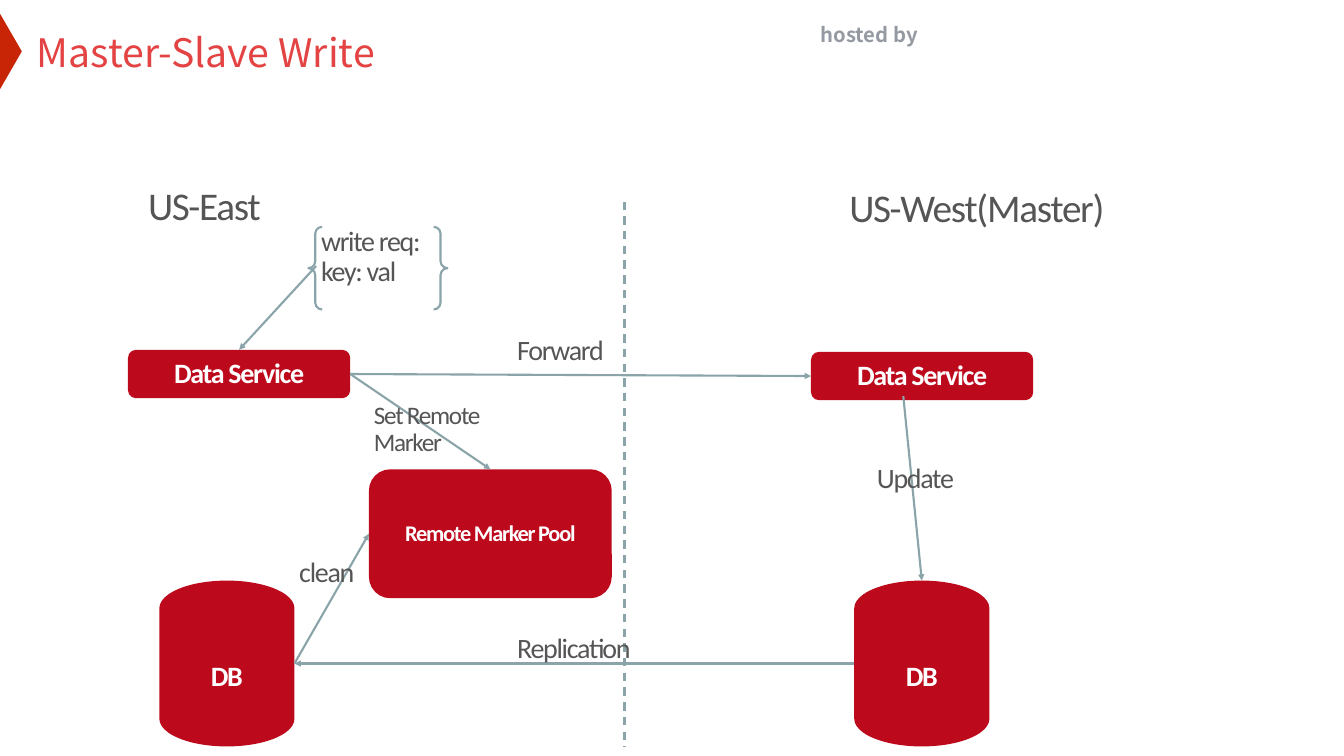
from lxml import etree
from pptx import Presentation
from pptx.dml.color import RGBColor
from pptx.enum.dml import MSO_LINE
from pptx.enum.shapes import MSO_CONNECTOR, MSO_SHAPE
from pptx.enum.text import MSO_ANCHOR, PP_ALIGN
from pptx.oxml.ns import qn
from pptx.util import Cm, Pt

RED = RGBColor(0xBD, 0x09, 0x1C)
CHEVRON_RED = RGBColor(0xC8, 0x25, 0x06)
TITLE_RED = RGBColor(0xE3, 0x43, 0x43)
LINE_GREY = RGBColor(0x8A, 0xA4, 0xAA)
TEXT_GREY = RGBColor(0x55, 0x55, 0x55)
HOST_GREY = RGBColor(0x95, 0x9A, 0xA2)
WHITE = RGBColor(0xFF, 0xFF, 0xFF)

ROUNDED = MSO_SHAPE.ROUNDED_RECTANGLE
DISK = MSO_SHAPE.FLOWCHART_MAGNETIC_DISK
BRACES = MSO_SHAPE.DOUBLE_BRACE
STRAIGHT = MSO_CONNECTOR.STRAIGHT
DASH = MSO_LINE.DASH
TOP, MIDDLE, BOTTOM = MSO_ANCHOR.TOP, MSO_ANCHOR.MIDDLE, MSO_ANCHOR.BOTTOM
LEFT, CENTER = PP_ALIGN.LEFT, PP_ALIGN.CENTER

HEADING_FONT = "Noto Sans CJK SC"
DIAGRAM_FONT = "Calibri"

# All lengths are in centimetres: left, top, width, height
TITLE = ("Master-Slave Write", (1.7, 0.84, 38.91, 3.12))
HOST = ("hosted by", (41.2, 1.14, 6.53, 1.37))
CHEVRON = [(0, 0.69), (0, 4.5), (1.1, 2.59)]
DIVIDER = [(31.47, 10.16), (31.47, 37.64)]
BRACE_AREA = (15.54, 11.43, 7.01, 4.17)

NODES = {
    "east db": (DISK, "DB", 40, (8.03, 29.26, 6.81, 8.36)),
    "west db": (DISK, "DB", 40, (43.05, 29.26, 6.81, 8.36)),
    "east service": (ROUNDED, "Data Service", 40, (6.45, 17.63, 11.2, 2.44)),
    "west service": (ROUNDED, "Data Service", 40, (40.87, 17.73, 11.2, 2.44)),
    "pool": (ROUNDED, "Remote Marker Pool", 32, (18.59, 23.65, 12.24, 6.5)),
}

LABELS = [
    (["US-East"], 56, (7.21, 9.3, 9.22, 2.41)),
    (["US-West(Master)"], 56, (42.55, 9.37, 15.44, 2.41)),
    (["write req:", "key: val"], 40, (15.93, 11.33, 7.37, 3.33)),
    (["Update"], 40, (43.94, 23.27, 5.28, 1.8)),
    (["Forward"], 40, (25.81, 16.84, 7.06, 1.8)),
    (["Set Remote Marker"], 36, (18.59, 20.17, 8.59, 3.02)),
    (["Replication"], 40, (25.81, 31.83, 11.02, 1.8)),
    (["clean"], 40, (14.83, 27.99, 4.65, 1.8)),
]

# Each end is a free point or a node with one of its sides
ARROWS = [
    ((15.93, 13.41), ("east service", "top")),
    ((45.52, 19.96), ("west db", "top")),
    (("east service", "right"), ("west service", "left")),
    (("east service", "right"), ("pool", "top")),
    (("west db", "left"), ("east db", "right")),
    (("east db", "right"), ("pool", "left")),
]
SIDES = {"top": (0.5, 0), "left": (0, 0.5), "right": (1, 0.5)}


def to_cm(values):
    return [Cm(value) for value in values]


def end_point(end):
    """Turn a (node, side) pair into a point; leave free points alone."""
    if end[0] not in NODES:
        return end
    left, top, width, height = NODES[end[0]][-1]
    across, down = SIDES[end[1]]
    return left + across * width, top + down * height


def write(box, lines, size, color, font=DIAGRAM_FONT, bold=False, align=LEFT,
          anchor=TOP, line_spacing=0.9, tracking=-180, inset=None):
    frame = box.text_frame
    frame.word_wrap = True
    frame.vertical_anchor = anchor
    if inset is not None:
        frame.margin_left = frame.margin_right = Cm(inset)
        frame.margin_top = frame.margin_bottom = Cm(inset)
    for number, line in enumerate(lines):
        para = frame.add_paragraph() if number else frame.paragraphs[0]
        para.alignment = align
        para.line_spacing = line_spacing
        span = para.add_run()
        span.text = line
        span.font.size = Pt(size)
        span.font.bold = bold
        span.font.name = font
        span.font.color.rgb = color
        properties = span.font._element
        properties.set("spc", str(tracking))
        latin = properties.find(qn("a:latin"))
        east_asian = etree.Element(qn("a:ea"), typeface=font)
        latin.addnext(east_asian)


def add_line(page, start, end, arrow=False):
    line = page.shapes.add_connector(STRAIGHT, *to_cm(start + end))
    line.line.color.rgb = LINE_GREY
    line.line.width = Pt(3)
    etree.SubElement(line._element.spPr, qn("a:effectLst"))
    if arrow:
        etree.SubElement(line.line._get_or_add_ln(), qn("a:tailEnd"), type="triangle")
    return line


def add_heading(page):
    builder = page.shapes.build_freeform(*to_cm(CHEVRON[0]), scale=1.0)
    builder.add_line_segments([to_cm(point) for point in CHEVRON[1:]], close=True)
    chevron = builder.convert_to_shape()
    chevron.shadow.inherit = False
    chevron.fill.solid()
    chevron.fill.fore_color.rgb = CHEVRON_RED
    chevron.line.fill.background()

    text, area = HOST
    host = page.shapes.add_textbox(*to_cm(area))
    write(host, [text], 28.9, HOST_GREY, HEADING_FONT, bold=True, anchor=BOTTOM,
          line_spacing=0.8, tracking=0, inset=0.15)

    text, area = TITLE
    title = page.shapes.title
    title.left, title.top, title.width, title.height = to_cm(area)
    write(title, [text], 56, TITLE_RED, HEADING_FONT, anchor=BOTTOM,
          line_spacing=1.0, tracking=0, inset=0.15)


def add_diagram(page):
    for kind, text, size, area in NODES.values():
        node = page.shapes.add_shape(kind, *to_cm(area))
        node.shadow.inherit = False
        node.fill.solid()
        node.fill.fore_color.rgb = RED
        node.line.fill.background()
        write(node, [text], size, WHITE, bold=True, align=CENTER, anchor=MIDDLE)

    add_line(page, *DIVIDER).line.dash_style = DASH
    for start, end in ARROWS:
        add_line(page, end_point(start), end_point(end), arrow=True)

    for lines, size, area in LABELS:
        write(page.shapes.add_textbox(*to_cm(area)), lines, size, TEXT_GREY)

    braces = page.shapes.add_shape(BRACES, *to_cm(BRACE_AREA))
    braces.shadow.inherit = False
    braces.fill.background()
    braces.line.color.rgb = LINE_GREY
    braces.line.width = Pt(3)


def main():
    deck = Presentation()
    deck.slide_width, deck.slide_height = Cm(67.73), Cm(38.1)
    page = deck.slides.add_slide(deck.slide_layouts[5])
    add_heading(page)
    add_diagram(page)
    deck.save("out.pptx")


if __name__ == "__main__":
    main()
